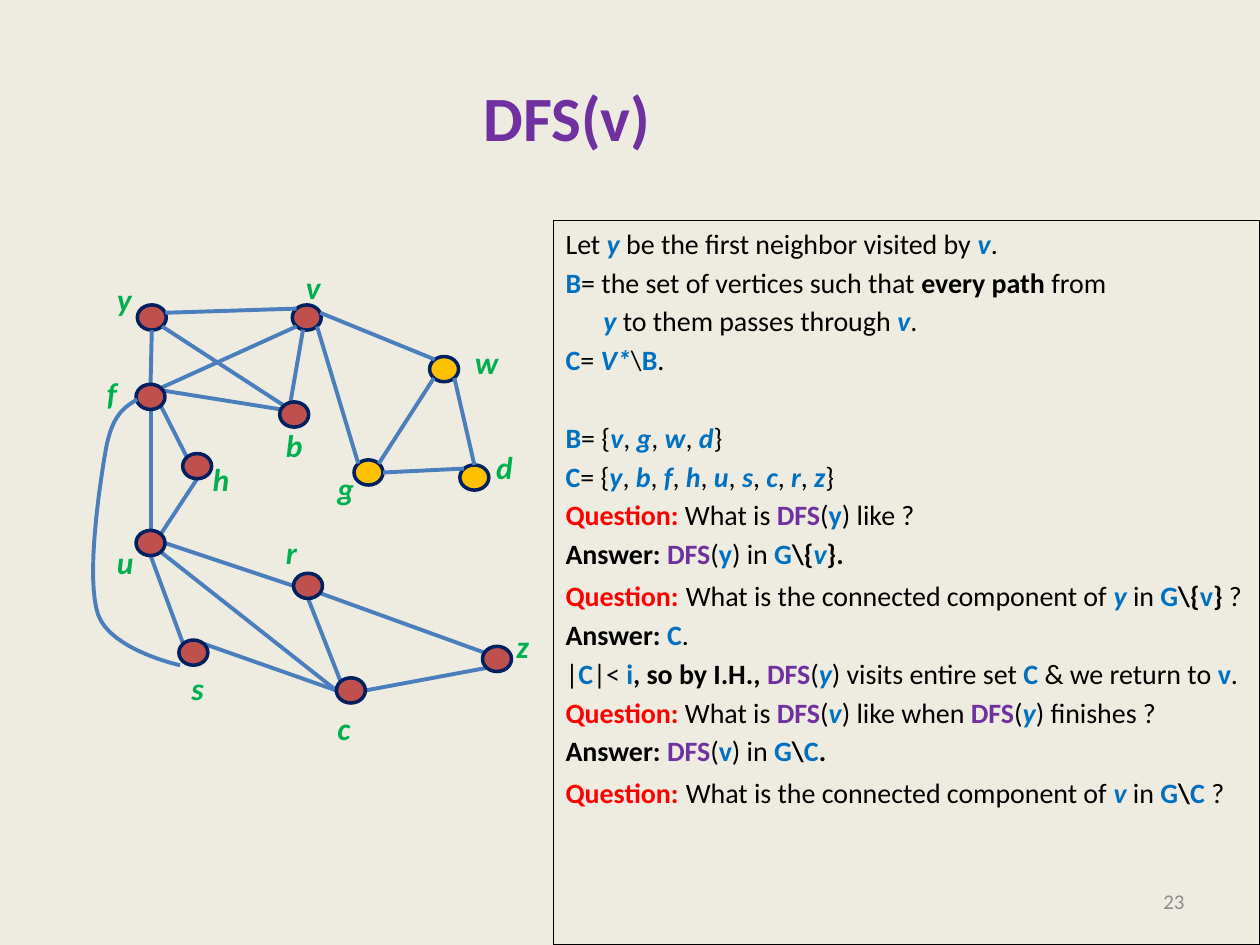
from dataclasses import dataclass
from math import cos, radians, sin

from pptx import Presentation
from pptx import util as u
from pptx.dml.color import RGBColor
from pptx.enum import shapes, text
from pptx.oxml import parse_xml
from pptx.oxml.ns import nsdecls


@dataclass(frozen=True)
class Theme:
    font: str = "Calibri"
    back: str = "EEECE1"
    ink: str = "000000"
    muted: str = "8C8C8C"
    purple: str = "7030A0"
    blue: str = "0070C0"
    red: str = "FF0000"
    label: str = "00B050"
    edge: str = "4B7EBC"
    ring: str = "002060"
    visited: str = "C0504D"
    cut_off: str = "FFC000"
    title_pt: float = 36
    label_pt: float = 18
    body_pt: float = 16
    small_pt: float = 12
    edge_pt: float = 2.25


T = Theme()

# Grid: 10 columns by 7.5 rows fill the slide
COLS, ROWS = 10, 7.5
WIDTH, HEIGHT = u.Inches(10), u.Inches(7.5)
RX, RY = 0.115, 0.1  # node radii
GAP = 2.9  # points between proof lines
LINE = 22.4  # points from one proof line to the next

# Vertex: left, top, label left, label top
BACK_NODES = {
    "g": (2.81, 3.65, 2.58, 3.67), "d": (3.65, 3.69, 3.84, 3.51),
    "w": (3.41, 2.83, 3.67, 2.67), "y": (1.09, 2.42, 0.83, 2.17),
    "v": (2.32, 2.42, 2.33, 2.08),
}
FRONT_NODES = {
    "f": (1.08, 3.05, 0.75, 2.92), "h": (1.45, 3.6, 1.59, 3.6),
    "u": (1.08, 4.21, 0.83, 4.26), "s": (1.42, 5.08, 1.42, 5.26),
    "c": (2.67, 5.38, 2.58, 5.58), "r": (2.33, 4.55, 2.17, 4.18),
    "z": (3.83, 5.13, 4, 4.93), "b": (2.22, 3.19, 2.17, 3.33),
}
NODES = {**BACK_NODES, **FRONT_NODES}
CUT_OFF = "gwd"

# Edge: vertex, angle on its rim in degrees, vertex, angle
EDGES = [
    ("d", 90, "w", 315), ("g", 0, "d", 135), ("g", 45, "w", 225),
    ("u", 0, "r", 180), ("s", 135, "u", 270), ("c", 0, "z", 225),
    ("r", 270, "c", 135), ("u", 315, "c", 180), ("z", 150, "r", 325),
    ("s", 45, "c", 180), ("f", 30, "b", 156), ("y", 270, "f", 90),
    ("f", 270, "u", 90), ("f", 315, "h", 135), ("y", 315, "b", 135),
    ("v", 22, "w", 130), ("v", 255, "b", 105), ("v", 315, "g", 135),
    ("y", 22, "v", 135), ("v", 225, "f", 45), ("h", 270, "u", 45),
]

# Back edge f-s as Bezier segments
BACK_EDGE = [
    [(1.09, 3.17), (0.99, 3.23), (0.89, 3.29), (0.84, 3.57)],
    [(0.84, 3.57), (0.79, 3.86), (0.68, 4.59), (0.78, 4.88)],
    [(0.78, 4.88), (0.88, 5.16), (1.43, 5.28), (1.43, 5.28)],
]

# [style|words] marks a run; plain words are black
STYLES = {
    "i": dict(color=T.blue, bold=True, italic=True),
    "b": dict(color=T.blue, bold=True),
    "k": dict(bold=True),
    "p": dict(color=T.purple, bold=True),
    "r": dict(color=T.red, bold=True),
    "wide": dict(bold=True, size=T.label_pt),
}
PROOF = [
    ("Let [i|y] be the first neighbor visited by [i|v].", {}),
    ("[b|B]= the set of vertices such that [k|every path ]from", {}),
    ("[i|y] to them passes through [i|v].", dict(indent=0.3)),
    ("[b|C]= [i|V*]\\[b|B].", {}),
    ("[b|B]= {[i|v], [i|g], [i|w], [i|d]}", dict(before=GAP + LINE)),
    ("[b|C]= {[i|y], [i|b], [i|f], [i|h], [i|u], [i|s], [i|c], [i|r], [i|z]}", {}),
    ("[r|Question:] What is [p|DFS]([b|y]) like ?", {}),
    ("[k|Answer: ][p|DFS]([b|y]) in [b|G][k|\\{][i|v][k|}.]", {}),
    ("[r|Question:][wide| ]What is the connected component of [i|y] in "
     "[b|G][k|\\{][b|v][k|}] ?", {}),
    ("[k|Answer: ][b|C].", {}),
    ("|[b|C]|< [b|i][k|, so by I.H., ][p|DFS]([i|y]) visits entire set "
     "[b|C ]& we return to [b|v].", {}),
    ("[r|Question: ]What is [p|DFS]([i|v]) like when [p|DFS]([i|y]) finishes ?", {}),
    ("[k|Answer: ][p|DFS]([b|v]) in [b|G][k|\\][b|C][k|.]", {}),
    ("[r|Question:][wide| ]What is the connected component of [i|v] in "
     "[b|G][k|\\][b|C] ?", {}),
]


def col(n):
    return u.Emu(round(WIDTH * n / COLS))


def row(n):
    return u.Emu(round(HEIGHT * n / ROWS))


def rgb(code):
    return RGBColor.from_string(code)


def add_run(p, words, size=T.body_pt, color=T.ink, bold=False, italic=False):
    r = p.add_run()
    r.text = words
    r.font.name, r.font.size = T.font, u.Pt(size)
    r.font.bold, r.font.italic = bold, italic
    r.font.color.rgb = rgb(color)


def add_text(s, words, x, y, w, h, align=text.PP_ALIGN.LEFT,
             anchor=text.MSO_ANCHOR.TOP, wrap=True, **fmt):
    tf = s.shapes.add_textbox(col(x), row(y), col(w), row(h)).text_frame
    tf.word_wrap, tf.vertical_anchor = wrap, anchor
    p = tf.paragraphs[0]
    p.alignment = align
    add_run(p, words, **fmt)


def add_marked(p, marked):
    plain, *parts = marked.split("[")
    if plain:
        add_run(p, plain)
    for part in parts:
        tagged, plain = part.split("]")
        style, words = tagged.split("|")
        add_run(p, words, **STYLES[style])
        if plain:
            add_run(p, plain)


def add_node(s, name):
    x, y, label_x, label_y = NODES[name]
    sp = s.shapes.add_shape(shapes.MSO_SHAPE.OVAL, col(x), row(y), col(2 * RX), row(2 * RY))
    sp.shadow.inherit = False
    sp.fill.solid()
    sp.fill.fore_color.rgb = rgb(T.cut_off if name in CUT_OFF else T.visited)
    sp.line.color.rgb, sp.line.width = rgb(T.ring), u.Pt(2)
    add_text(s, name, label_x, label_y, 0.34, 0.4, wrap=False,
             size=T.label_pt, color=T.label, bold=True, italic=True)


def rim(name, angle):
    x, y = NODES[name][:2]
    a = radians(angle)
    return col(x + RX + RX * cos(a)), row(y + RY - RY * sin(a))


def add_edge(s, start, start_angle, end, end_angle):
    line = s.shapes.add_connector(shapes.MSO_CONNECTOR.STRAIGHT,
                                  *rim(start, start_angle), *rim(end, end_angle))
    line.line.color.rgb, line.line.width = rgb(T.edge), u.Pt(T.edge_pt)
    line._element.spPr.append(parse_xml(f"<a:effectLst {nsdecls('a')}/>"))


def bezier(points, t):
    weights = ((1 - t) ** 3, 3 * t * (1 - t) ** 2, 3 * t * t * (1 - t), t ** 3)
    return tuple(sum(w * pt[k] for w, pt in zip(weights, points)) for k in (0, 1))


def add_curve(s, segments, steps=16):
    pts = [bezier(seg, i / steps) for seg in segments for i in range(steps + 1)]
    pts = [(col(x), row(y)) for x, y in pts]
    fb = s.shapes.build_freeform(*pts[0])
    fb.add_line_segments(pts[1:], close=False)
    sp = fb.convert_to_shape()
    sp.shadow.inherit = False
    sp.fill.background()
    sp.line.color.rgb, sp.line.width = rgb(T.edge), u.Pt(T.edge_pt)


def add_proof(s, x, y, w, h):
    sp = s.shapes.add_shape(shapes.MSO_SHAPE.RECTANGLE, col(x), row(y), col(w), row(h))
    sp.shadow.inherit = False
    sp.fill.background()
    sp.line.color.rgb, sp.line.width = rgb(T.ink), u.Pt(0.75)
    tf = sp.text_frame
    tf.word_wrap, tf.vertical_anchor = True, text.MSO_ANCHOR.TOP
    for i, (marked, fmt) in enumerate(PROOF):
        p = tf.add_paragraph() if i else tf.paragraphs[0]
        p.alignment = text.PP_ALIGN.LEFT
        p.space_before = u.Pt(fmt.get("before", GAP) if i else 0)
        if "indent" in fmt:
            p._p.get_or_add_pPr().set("marL", str(col(fmt["indent"])))
        add_marked(p, marked)


def main():
    prs = Presentation()
    prs.slide_width, prs.slide_height = WIDTH, HEIGHT
    s = prs.slides.add_slide(prs.slide_layouts[6])
    s.background.fill.solid()
    s.background.fill.fore_color.rgb = rgb(T.back)

    # Title and page number
    middle = text.MSO_ANCHOR.MIDDLE
    add_text(s, "DFS(v)", 0, 0.3, 9, 1.25, align=text.PP_ALIGN.CENTER, anchor=middle,
             size=T.title_pt, color=T.purple, bold=True)
    add_text(s, "23", 7.17, 6.95, 2.33, 0.4, align=text.PP_ALIGN.RIGHT, anchor=middle,
             size=T.small_pt, color=T.muted)

    # Graph, with edges between the two layers of nodes
    for name in BACK_NODES:
        add_node(s, name)
    for edge in EDGES:
        add_edge(s, *edge)
    for name in FRONT_NODES:
        add_node(s, name)

    # Proof and back edge
    add_proof(s, 4.39, 1.75, 5.61, 5.75)
    add_curve(s, BACK_EDGE)
    prs.save("out.pptx")


if __name__ == "__main__":
    main()
